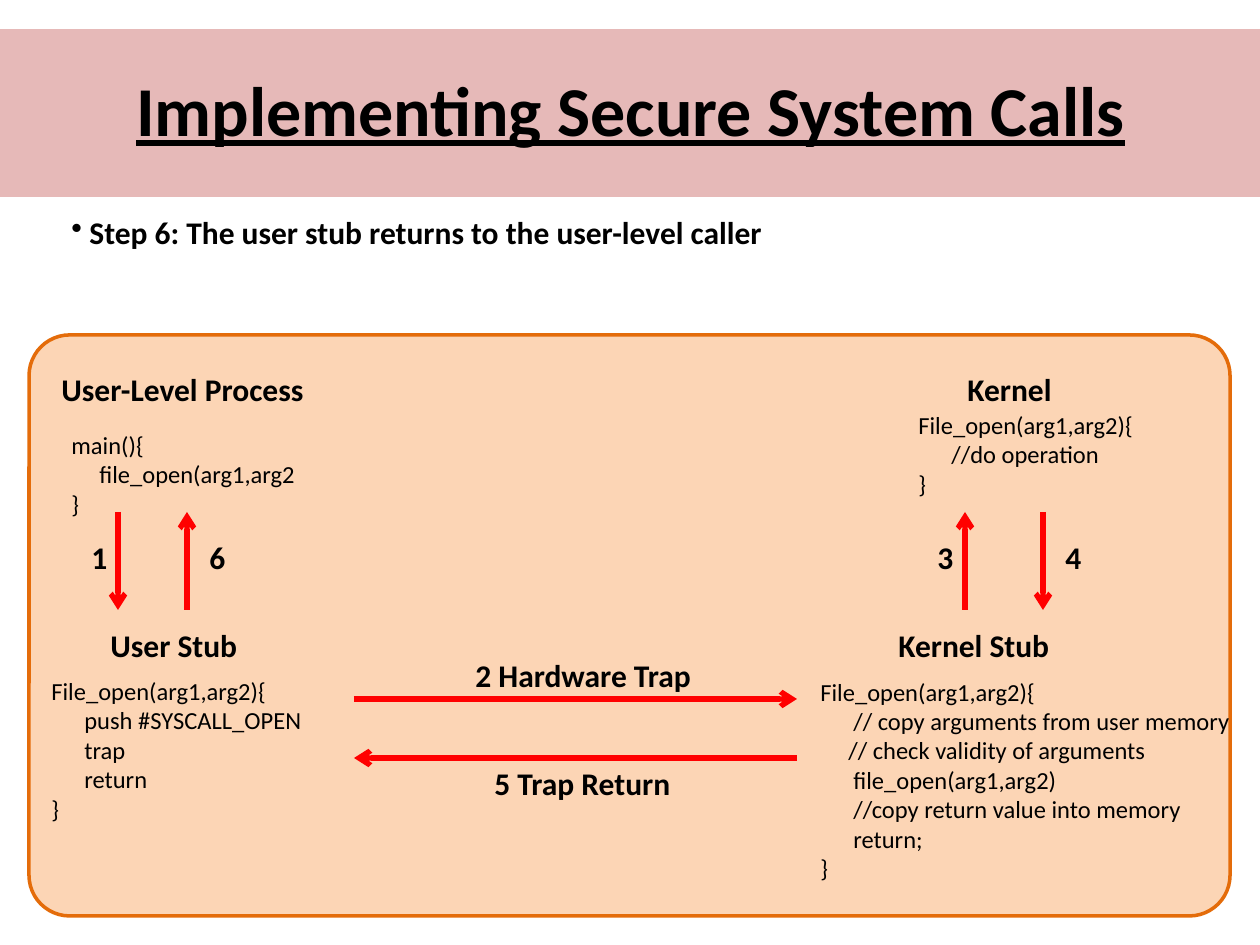
from lxml.etree import SubElement
from pptx import Presentation
from pptx.dml.color import RGBColor
from pptx.enum.shapes import MSO_CONNECTOR as Connector, MSO_SHAPE as Shape
from pptx.enum.text import MSO_ANCHOR as Anchor, PP_ALIGN as Align
from pptx.oxml.ns import qn
from pptx.util import Pt

PIXEL = 914400 / 126
FONT = "Calibri"
BLACK, RED = "000000", "FF0000"
INDENT = 33

STEP_TEXT = "Step 6: The user stub returns to the user-level caller"

# left, top, width, text
LABELS = [
    (49, 364, 270, "User-Level Process"),
    (955, 364, 110, "Kernel"),
    (98, 620, 154, "User Stub"),
    (886, 620, 177, "Kernel Stub"),
    (79, 532, 41, "1"),
    (463, 650, 243, "2 Hardware Trap"),
    (925, 532, 41, "3"),
    (1053, 532, 41, "4"),
    (482, 758, 203, "5 Trap Return"),
    (197, 532, 41, "6"),
]

# left, top, width, height, lines as (indent, text)
CODE_BLOCKS = [
    (59, 423, 276, 102,
     [(0, "main(){"), (28, "file_open(arg1,arg2"), (0, "}")]),
    (39, 669, 354, 161,
     [(0, "File_open(arg1,arg2){"), (INDENT, "push #SYSCALL_OPEN"),
      (INDENT, "trap"), (INDENT, "return"), (0, "}")]),
    (906, 403, 354, 102,
     [(0, "File_open(arg1,arg2){"), (INDENT, "//do operation"), (0, "}")]),
    (808, 669, 452, 221,
     [(0, "File_open(arg1,arg2){"),
      (INDENT, "// copy arguments from user memory"),
      (28, "// check validity of arguments"),
      (INDENT, "file_open(arg1,arg2)"),
      (INDENT, "//copy return value into memory"),
      (INDENT, "return;"), (0, "}")]),
]

UPPER, LOWER = 512, 610
LEFT, RIGHT = 354, 797
# start x, start y, end x, end y
ARROWS = [
    (118, UPPER, 118, LOWER),
    (LEFT, 699, RIGHT, 699),
    (965, LOWER, 965, UPPER),
    (1043, UPPER, 1043, LOWER),
    (RIGHT, 758, LEFT, 758),
    (187, LOWER, 187, UPPER),
]


def px(*lengths):
    """Turn pixel lengths into a list of EMU."""
    return [round(length * PIXEL) for length in lengths]


def color(value):
    """Return the colour of a hex string."""
    return RGBColor.from_string(value)


def add_panel(slide, kind, box, fill, line=None):
    """Add a filled shape, outlined if a line colour is given."""
    shape = slide.shapes.add_shape(kind, *px(*box))
    shape.shadow.inherit = False
    shape.fill.solid()
    shape.fill.fore_color.rgb = color(fill)
    if line:
        shape.line.color.rgb = color(line)
        shape.line.width = Pt(2)
    else:
        shape.line.fill.background()
    return shape


def add_text(slide, box, lines, size, bold=False, anchor=Anchor.TOP, wrap=True):
    """Add a text box of (indent, text) lines and return its paragraphs."""
    frame = slide.shapes.add_textbox(*px(*box)).text_frame
    frame.word_wrap = wrap
    frame.vertical_anchor = anchor
    for number, (indent, text) in enumerate(lines):
        paragraph = frame.add_paragraph() if number else frame.paragraphs[0]
        paragraph.text = text
        paragraph.font.name = FONT
        paragraph.font.size = Pt(size)
        paragraph.font.bold = bold
        paragraph.font.color.rgb = color(BLACK)
        if indent:
            paragraph._p.get_or_add_pPr().set("marL", str(px(indent)[0]))
    return frame.paragraphs


def add_bullet(paragraph, hang):
    """Give a paragraph a round bullet hanging to the left of its text."""
    properties = paragraph._p.get_or_add_pPr()
    properties.set("indent", str(-px(hang)[0]))
    bullet = properties.makeelement(qn("a:buChar"), {"char": "•"})
    properties.insert_element_before(bullet, "a:tabLst", "a:defRPr", "a:extLst")


def add_arrow(slide, ends):
    """Add a red arrow from its start to its end."""
    arrow = slide.shapes.add_connector(Connector.STRAIGHT, *px(*ends))
    arrow.line.color.rgb = color(RED)
    arrow.line.width = Pt(3)
    SubElement(arrow.line._get_or_add_ln(), qn("a:tailEnd"), type="arrow")
    SubElement(arrow._element.spPr, qn("a:effectLst"))


def main():
    """Build the slide and save it."""
    presentation = Presentation()
    presentation.slide_width, presentation.slide_height = px(1260, 945)
    slide = presentation.slides.add_slide(presentation.slide_layouts[6])

    add_panel(slide, Shape.RECTANGLE, (0, 29, 1260, 168), "E6B9B8")
    title = add_text(slide, (15, 49, 1231, 118),
                     [(0, "Implementing Secure System Calls")],
                     40, True, Anchor.MIDDLE)[0]
    title.alignment = Align.CENTER
    title.font.underline = True
    step = add_text(slide, (59, 207, 1201, 89), [(18, STEP_TEXT)], 18, True)[0]
    add_bullet(step, 18)

    panel = add_panel(slide, Shape.ROUNDED_RECTANGLE, (29, 335, 1201, 581),
                      "FCD5B5", "E46C0A")
    panel.adjustments[0] = 0.07
    for *box, lines in CODE_BLOCKS:
        add_text(slide, box, lines, 14, anchor=Anchor.MIDDLE)
    for left, top, width, text in LABELS:
        add_text(slide, (left, top, width, 50), [(0, text)], 18, True, wrap=False)
    for ends in ARROWS:
        add_arrow(slide, ends)

    presentation.save("out.pptx")


main()
